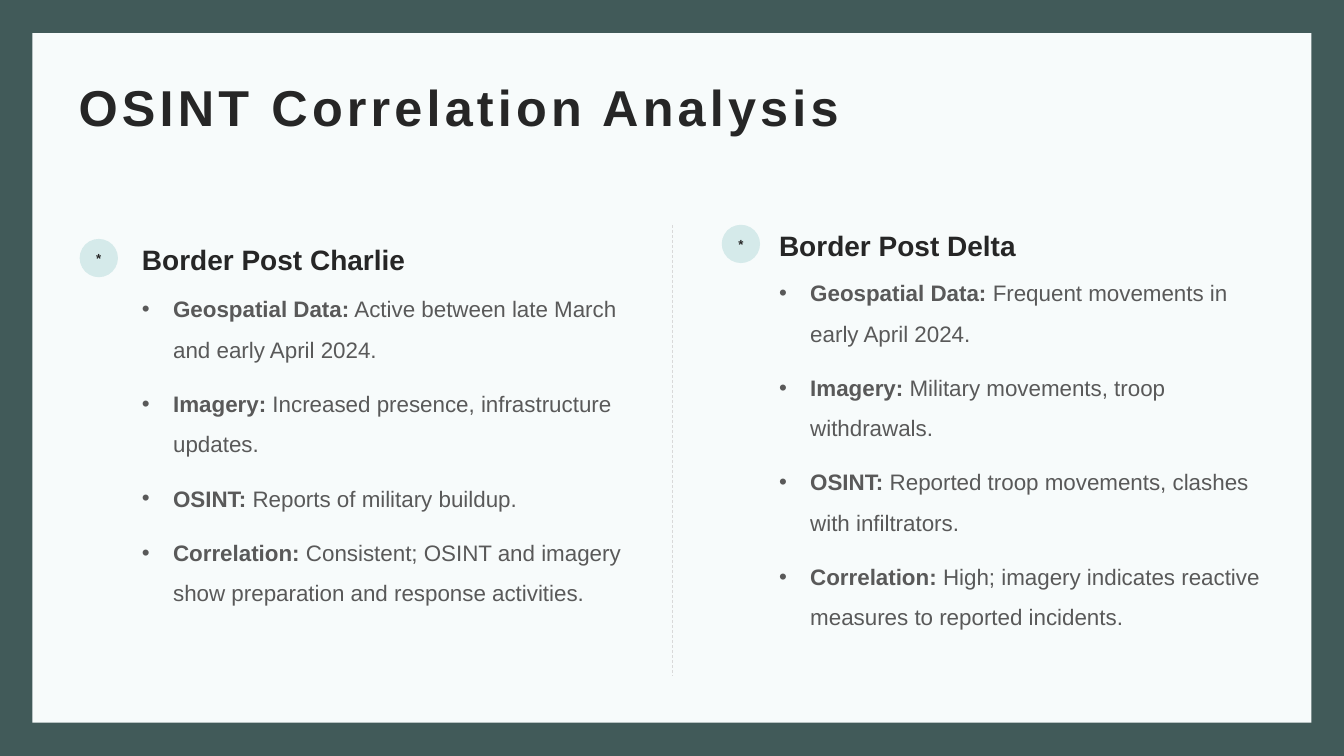
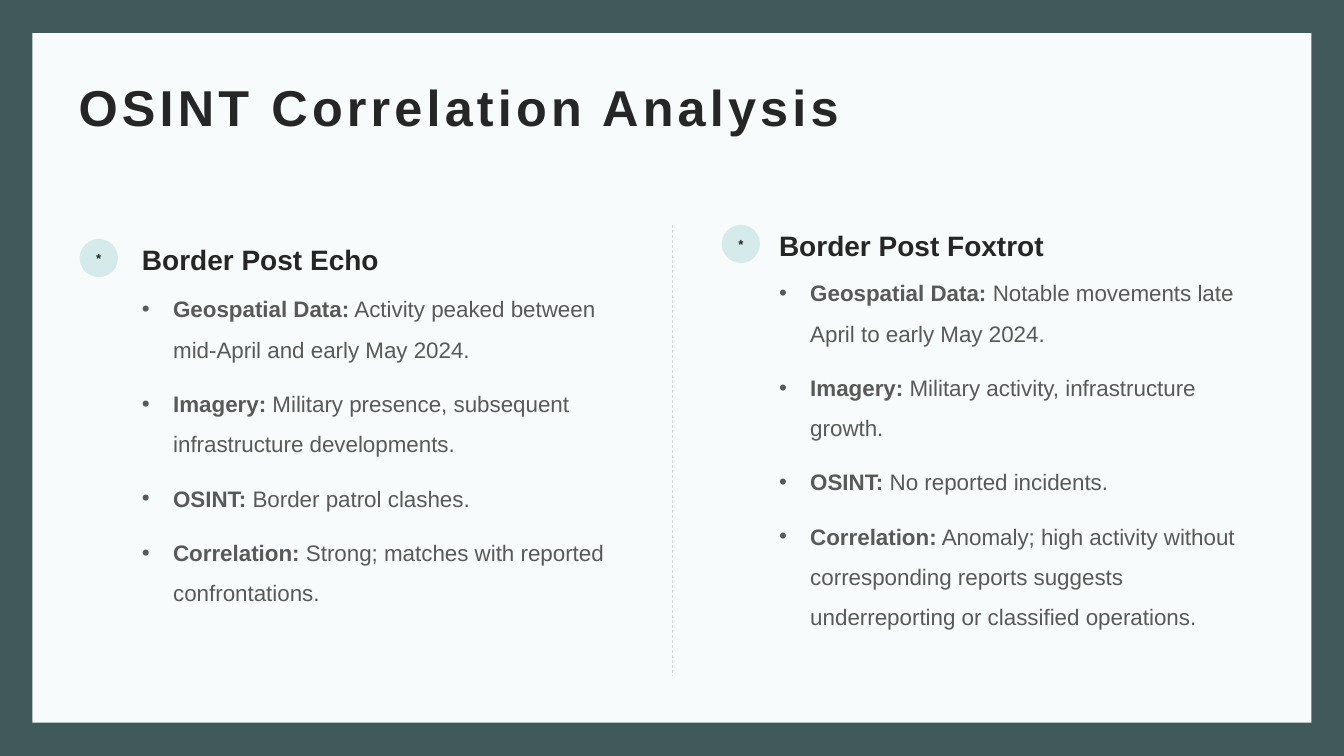
from dataclasses import dataclass

from pptx import Presentation
from pptx import util as u
from pptx.dml.color import RGBColor
from pptx.enum import dml, shapes, text
from pptx.oxml.ns import qn

# Square grid: one cell is a quarter inch
CELL = u.Inches(0.25)
COLS, ROWS = 53.33, 30


def cells(count):
    return u.Emu(round(count * CELL))


@dataclass(frozen=True)
class Theme:
    font: str = "Arial"
    frame: str = "415A59"
    paper: str = "F7FBFB"
    badge: str = "D5EAEA"
    rule: str = "D9D9D9"
    ink: str = "262626"
    body: str = "595959"
    title_size: float = 36
    heading_size: float = 20
    body_size: float = 16
    badge_size: float = 9.4


@dataclass(frozen=True)
class Box:
    left: float
    top: float
    width: float
    height: float

    @property
    def bottom(self):
        return self.top + self.height

    def emu(self):
        return [cells(n) for n in (self.left, self.top, self.width, self.height)]


THEME = Theme()
PAPER = Box(1.28, 1.32, 50.76, 27.36)
TITLE = Box(2.68, 2.68, 48, 3.08)
DIVIDER = Box(COLS / 2, 8.92, 0, 17.88)
# Each panel has its box and the indent of its text
PANELS = [(Box(3.16, 9.44, 22.24, 18.56), 2.08),
          (Box(28.64, 8.88, 22.04, 18.48), 1.88)]
BADGE_SIDE, BADGE_DROP = 1.52, 0.04
HEADING_HEIGHT, BODY_HEIGHT = 1.76, 17

TOPICS = ["Geospatial Data:", "Imagery:", "OSINT:", "Correlation:"]
SLIDES = [
    ("OSINT Correlation Analysis", [
        ("Border Post Charlie", [
            "Active between late March and early April 2024.",
            "Increased presence, infrastructure updates.",
            "Reports of military buildup.",
            "Consistent; OSINT and imagery show preparation and response activities."]),
        ("Border Post Delta", [
            "Frequent movements in early April 2024.",
            "Military movements, troop withdrawals.",
            "Reported troop movements, clashes with infiltrators.",
            "High; imagery indicates reactive measures to reported incidents."])]),
    ("OSINT Correlation Analysis", [
        ("Border Post Echo", [
            "Activity peaked between mid-April and early May 2024.",
            "Military presence, subsequent infrastructure developments.",
            "Border patrol clashes.",
            "Strong; matches with reported confrontations."]),
        ("Border Post Foxtrot", [
            "Notable movements late April to early May 2024.",
            "Military activity, infrastructure growth.",
            "No reported incidents.",
            "Anomaly; high activity without corresponding reports suggests "
            "underreporting or classified operations."])]),
]


def style(run, size, color, bold=True):
    run.font.name = THEME.font
    run.font.size = u.Pt(size)
    run.font.bold = bold
    run.font.color.rgb = RGBColor.from_string(color)


def add_filled(slide, kind, box, color):
    shape = slide.shapes.add_shape(kind, *box.emu())
    shape.shadow.inherit = False
    shape.fill.solid()
    shape.fill.fore_color.rgb = RGBColor.from_string(color)
    shape.line.fill.background()
    return shape


def add_text(slide, box):
    frame = slide.shapes.add_textbox(*box.emu()).text_frame
    frame.word_wrap = True
    return frame


def add_line(slide, box, content, size):
    frame = add_text(slide, box)
    frame.text = content
    style(frame.paragraphs[0].runs[0], size, THEME.ink)
    return frame


def add_bullet(paragraph):
    properties = paragraph._p.get_or_add_pPr()
    indent = u.Inches(0.31)
    properties.set("marL", str(indent))
    properties.set("indent", str(-indent))
    for tag, key, value in (("a:buFont", "typeface", THEME.font),
                            ("a:buChar", "char", "•")):
        properties.append(properties.makeelement(qn(tag), {key: value}))


# Frame, paper and centre rule
def add_backdrop(slide, paper, rule):
    slide.background.fill.solid()
    slide.background.fill.fore_color.rgb = RGBColor.from_string(THEME.frame)
    add_filled(slide, shapes.MSO_SHAPE.RECTANGLE, paper, THEME.paper)
    x = cells(rule.left)
    divider = slide.shapes.add_connector(
        shapes.MSO_CONNECTOR.STRAIGHT, x, cells(rule.top), x, cells(rule.bottom))
    divider.line.color.rgb = RGBColor.from_string(THEME.rule)
    divider.line.width = u.Pt(0.5)
    divider.line.dash_style = dml.MSO_LINE.DASH
    properties = divider._element.spPr
    properties.append(properties.makeelement(qn("a:effectLst"), {}))


def add_title(slide, box, title):
    frame = add_line(slide, box, title, THEME.title_size)
    frame.vertical_anchor = text.MSO_ANCHOR.MIDDLE
    frame.margin_left, frame.margin_right = u.Inches(0.11), u.Inches(0.08)
    frame.margin_top = frame.margin_bottom = u.Inches(0.04)
    frame.paragraphs[0].runs[0]._r.get_or_add_rPr().set("spc", "300")


def add_badge(slide, box):
    frame = add_filled(slide, shapes.MSO_SHAPE.OVAL, box, THEME.badge).text_frame
    frame.margin_left = frame.margin_right = 0
    frame.margin_top = frame.margin_bottom = 0
    frame.vertical_anchor = text.MSO_ANCHOR.MIDDLE
    frame.text = "*"
    frame.paragraphs[0].alignment = text.PP_ALIGN.CENTER
    style(frame.paragraphs[0].runs[0], THEME.badge_size, THEME.ink)


def add_findings(slide, box, findings):
    frame = add_text(slide, box)
    for number, (topic, finding) in enumerate(zip(TOPICS, findings)):
        paragraph = frame.add_paragraph() if number else frame.paragraphs[0]
        paragraph.line_spacing = 1.5
        paragraph.space_before = u.Pt(10)
        add_bullet(paragraph)
        for content, bold in ((topic, True), (f" {finding}", False)):
            run = paragraph.add_run()
            run.text = content
            style(run, THEME.body_size, THEME.body, bold)


# One border post: badge, heading and findings
def add_panel(slide, box, indent, heading, findings):
    left, width = box.left + indent, box.width - indent
    add_badge(slide, Box(box.left, box.top + BADGE_DROP, BADGE_SIDE, BADGE_SIDE))
    add_line(slide, Box(left, box.top, width, HEADING_HEIGHT),
             heading, THEME.heading_size)
    add_findings(slide, Box(left, box.bottom - BODY_HEIGHT, width, BODY_HEIGHT),
                 findings)


def add_comparison(deck, title, posts):
    slide = deck.slides.add_slide(deck.slide_layouts[6])
    add_backdrop(slide, PAPER, DIVIDER)
    add_title(slide, TITLE, title)
    for (box, indent), (heading, findings) in zip(PANELS, posts):
        add_panel(slide, box, indent, heading, findings)


def main():
    deck = Presentation()
    deck.slide_width, deck.slide_height = cells(COLS), cells(ROWS)
    for title, posts in SLIDES:
        add_comparison(deck, title, posts)
    deck.save("out.pptx")


if __name__ == "__main__":
    main()
